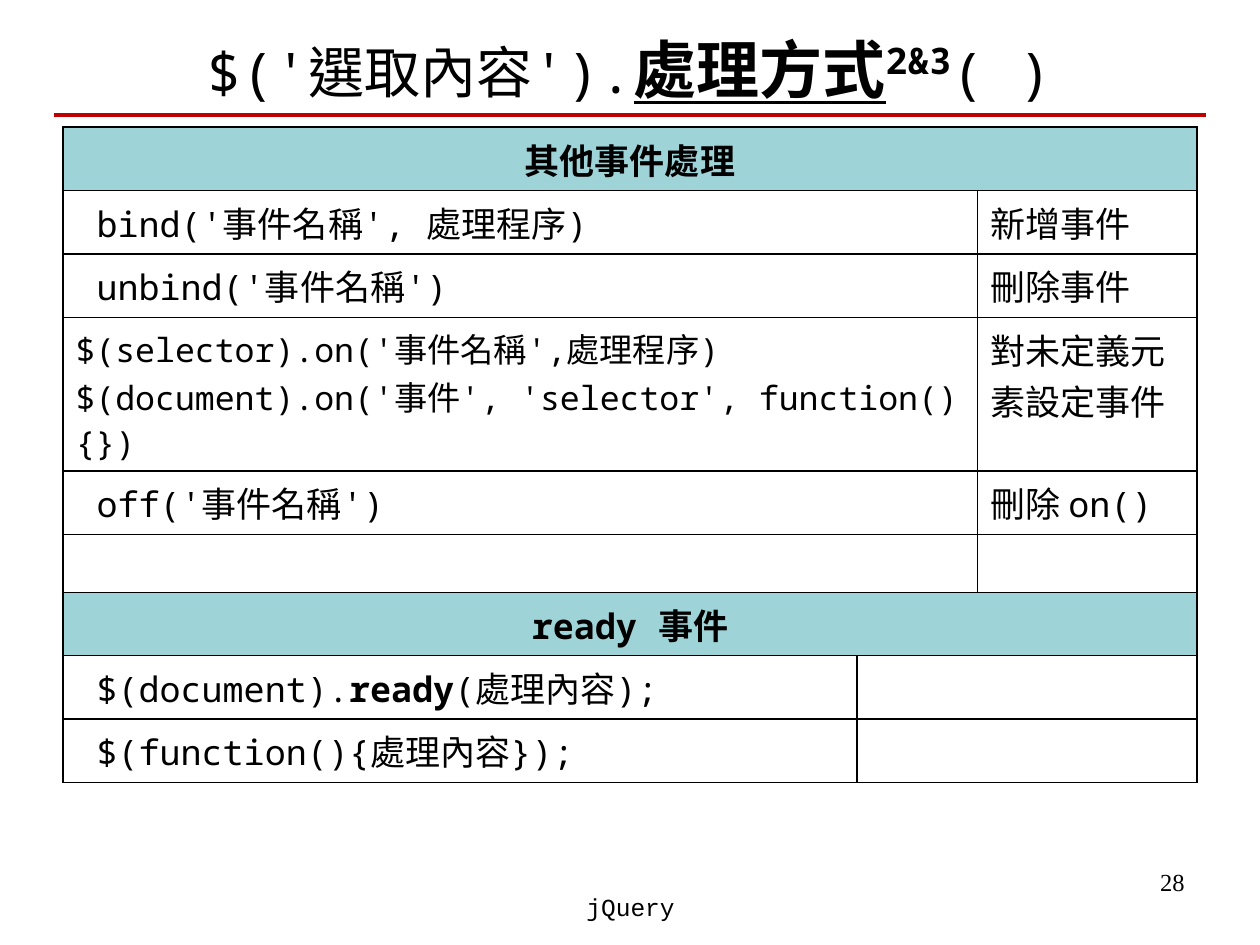
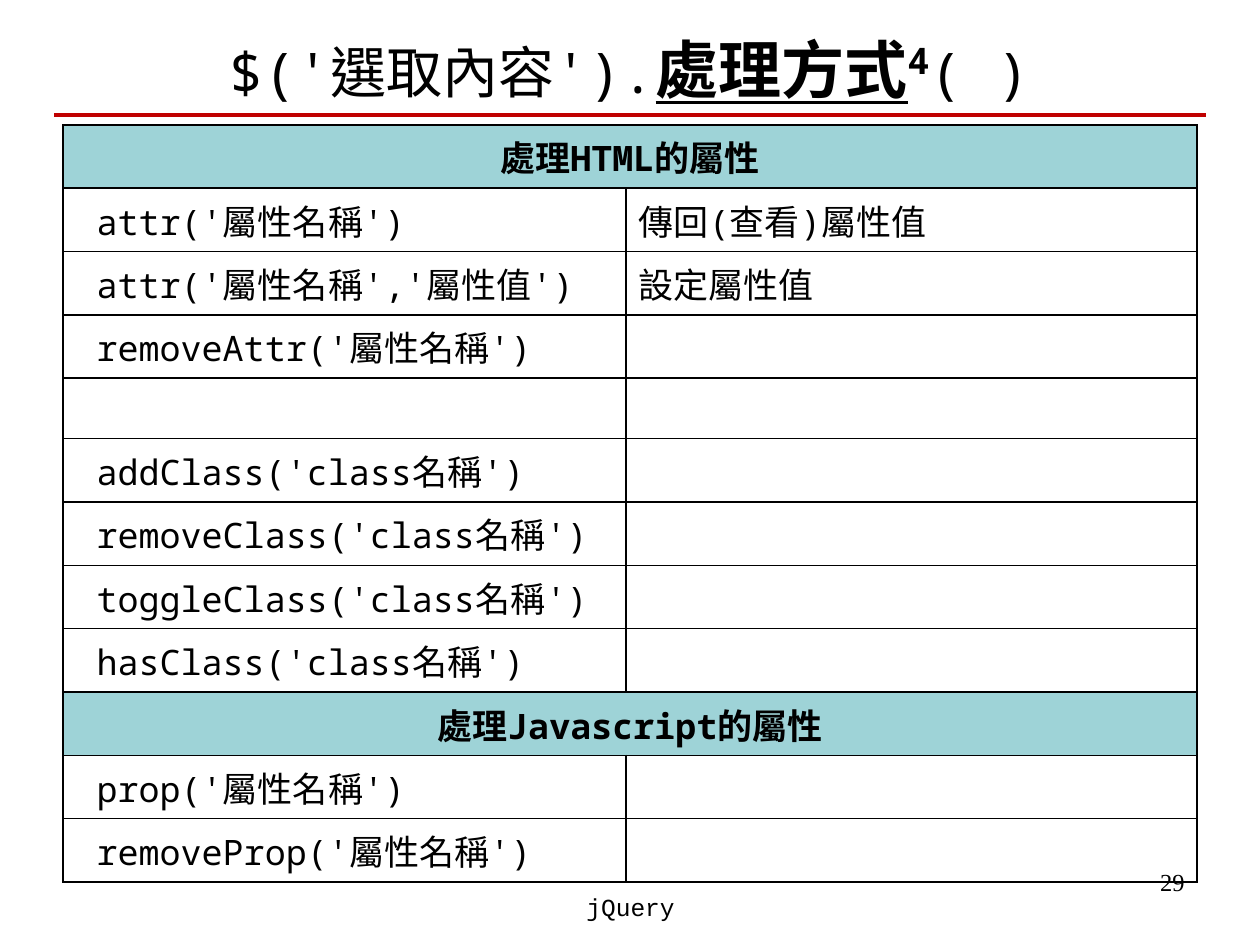
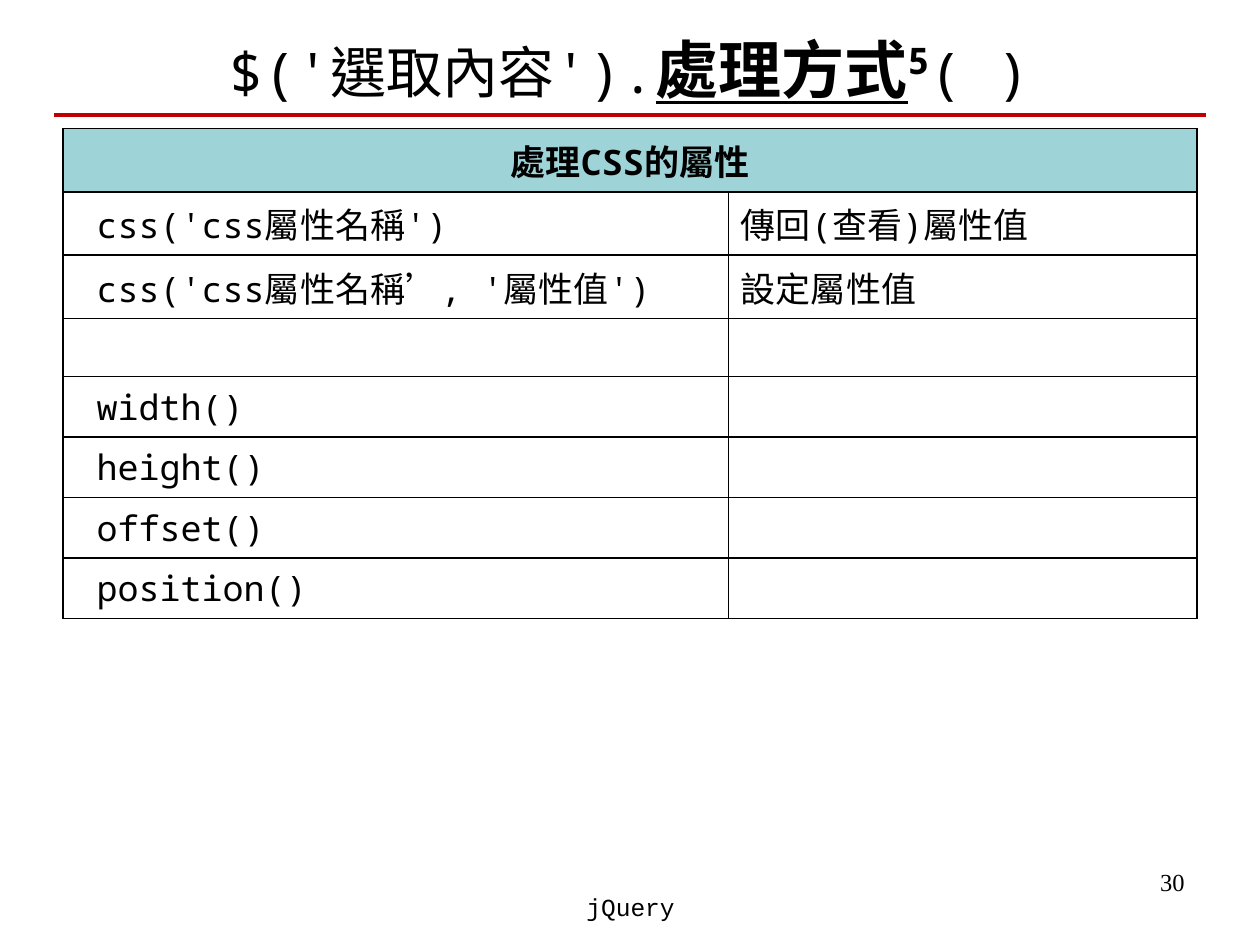
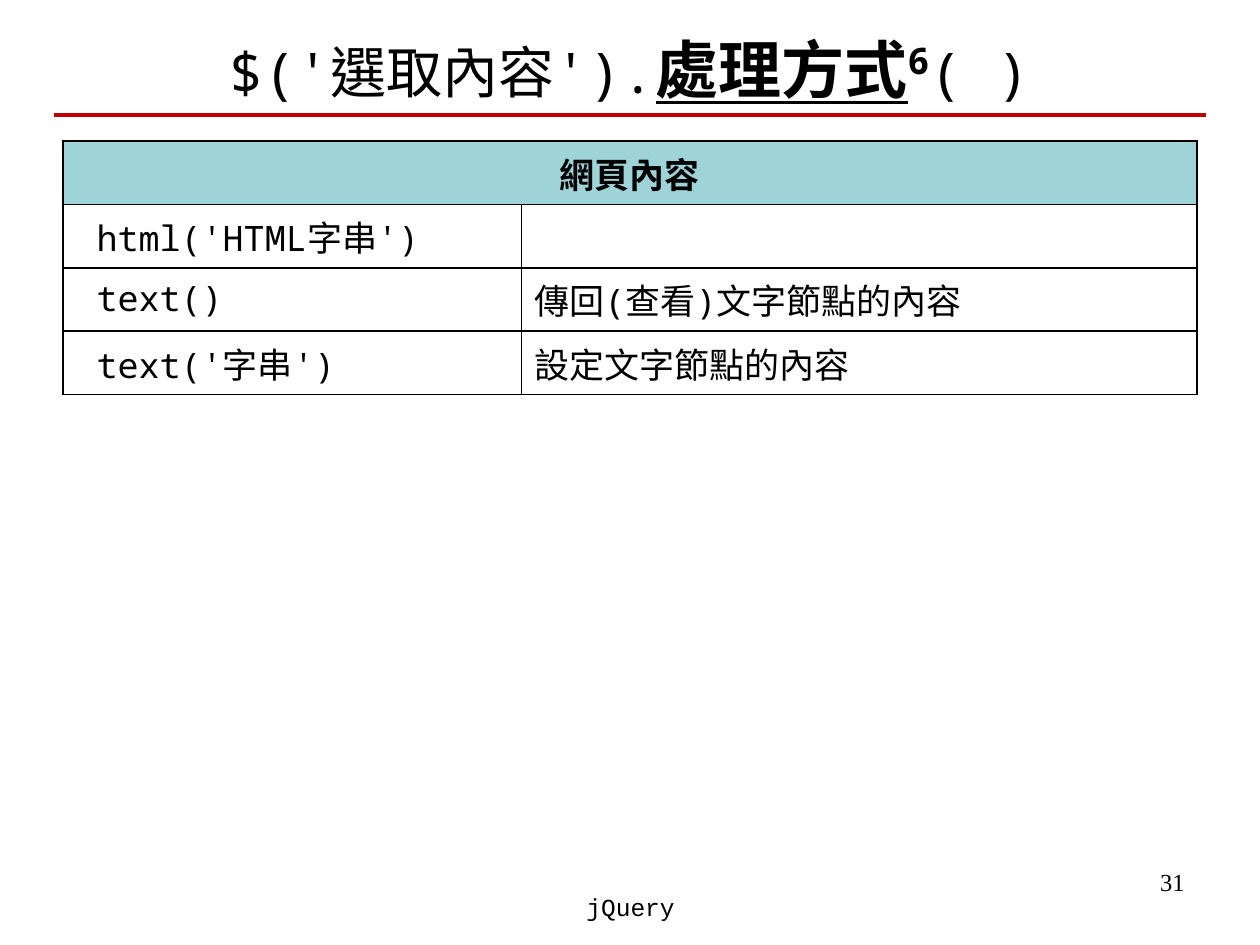
import pptx
import pptx.util
import pptx.dml.color
import pptx.enum.shapes
import pptx.enum.text
import pptx.oxml.ns
import lxml.etree

Inches, Pt = pptx.util.Inches, pptx.util.Pt
ALIGN = pptx.enum.text.PP_ALIGN
qn = pptx.oxml.ns.qn

HUES = {"ink": "000000", "rule": "C00000", "band": "9ED3D7"}
MONO, FOOT, NUM = "Noto Sans Mono", "Courier New", "Times New Roman"

# Boxes: left, top, width, height
HEAD = (0.5, 0.16, 9, 0.76)
RULE = (0.43, 0.91, 9.14, 0)
NUMBER = (7.17, 6.83, 2.33, 0.52)
FOOTER = (3.42, 7.03, 3.17, 0.5)

# Row heights: one line of 20 pt Chinese or Latin text plus margins
HAN = 0.1 + 1.45 * 20 / 72
LATIN = 0.48
BLANK = 0.46


def hue(name):
    return pptx.dml.color.RGBColor.from_string(HUES[name])


def write(frame, *paras, align=ALIGN.LEFT, **base):
    """Each paragraph is a string or a list of (text, format) runs."""
    frame.word_wrap = True
    for i, para in enumerate(paras):
        line = frame.paragraphs[0] if i == 0 else frame.add_paragraph()
        line.alignment = align
        runs = [(para, {})] if isinstance(para, str) else para
        for text, own in runs:
            fmt = {"font": MONO, "size": 20, "bold": False, **base, **own}
            run = line.add_run()
            run.text = text
            run.font.name = fmt["font"]
            run.font.size = Pt(fmt["size"])
            run.font.bold = fmt["bold"]
            run.font.underline = fmt.get("under", False)
            run.font.color.rgb = hue("ink")
            props = run._r.get_or_add_rPr()
            props.set("lang", "zh-TW")
            if "lift" in fmt:
                props.set("baseline", str(fmt["lift"] * 1000))


def title(slide, box, mark):
    shape = slide.shapes.title
    shape.left, shape.top, shape.width, shape.height = map(Inches, box)
    frame = shape.text_frame
    frame.auto_size = pptx.enum.text.MSO_AUTO_SIZE.NONE
    frame.vertical_anchor = pptx.enum.text.MSO_ANCHOR.MIDDLE
    big = {"size": 36, "bold": True}
    write(frame, [("$('選取內容').", {}),
                  ("處理方式", {**big, "under": True}),
                  (mark, {**big, "lift": 30}),
                  ("( )", {})], size=32, align=ALIGN.CENTER)


def rule(slide, box):
    x, y, w, h = box
    line = slide.shapes.add_connector(
        pptx.enum.shapes.MSO_CONNECTOR.STRAIGHT,
        Inches(x), Inches(y), Inches(x + w), Inches(y + h))
    line.line.color.rgb = hue("rule")
    line.line.width = Pt(2.25)
    lxml.etree.SubElement(line._element.spPr, qn("a:effectLst"))


def label(slide, box, text, **fmt):
    shape = slide.shapes.add_textbox(*map(Inches, box))
    write(shape.text_frame, text, size=14, **fmt)


def border(cell):
    props = cell._tc.get_or_add_tcPr()
    for side in ("a:lnL", "a:lnR", "a:lnT", "a:lnB"):
        line = lxml.etree.SubElement(props, qn(side), w=str(Pt(1)))
        fill = lxml.etree.SubElement(line, qn("a:solidFill"))
        lxml.etree.SubElement(fill, qn("a:srgbClr"), val=HUES["ink"])


def grid(slide, box, cols, rows):
    """A string row is a band; others are (left, right, cut, height),
    where cut counts the columns under the left cell."""
    x, y, w = box
    tall = [HAN if isinstance(row, str) else row[3] for row in rows]
    table = slide.shapes.add_table(
        len(rows), len(cols), Inches(x), Inches(y), Inches(w),
        Inches(sum(tall))).table
    table.first_row = table.horz_banding = False
    for col, wide in zip(table.columns, cols):
        col.width = Inches(wide)
    last = len(cols) - 1
    for r, row in enumerate(rows):
        table.rows[r].height = Inches(tall[r])
        band = isinstance(row, str)
        for c in range(len(cols)):
            cell = table.cell(r, c)
            border(cell)
            if band:
                cell.fill.solid()
                cell.fill.fore_color.rgb = hue("band")
            else:
                cell.fill.background()
        # Merge, then fill in the text
        if band:
            spans = [(0, last, [row])]
        else:
            left, right, cut = row[:3]
            spans = [(0, cut - 1, left), (cut, last, right)]
        for start, end, paras in spans:
            cell = table.cell(r, start)
            if end > start:
                cell.merge(table.cell(r, end))
            if isinstance(paras, str):
                paras = [paras] if paras else []
            write(cell.text_frame, *paras, bold=band,
                  align=ALIGN.CENTER if band else ALIGN.LEFT)


def page(deck, number, mark, top, cols, rows):
    slide = deck.slides.add_slide(deck.slide_layouts[5])
    label(slide, NUMBER, str(number), font=NUM, align=ALIGN.RIGHT)
    title(slide, HEAD, mark)
    rule(slide, RULE)
    label(slide, FOOTER, "jQuery", font=FOOT, align=ALIGN.CENTER)
    grid(slide, (0.5, top, 9), cols, rows)


def pair(left="", right="", cut=1, tall=HAN):
    return left, right, cut, tall


SMALL = {"size": 19}
PAGES = [
    # Other events
    ("2&3", 1.01, (6.3, 0.96, 1.74), [
        "其他事件處理",
        pair(" bind('事件名稱', 處理程序)", "新增事件", 2),
        pair(" unbind('事件名稱')", "刪除事件", 2),
        pair([[("$(selector).on('事件名稱',處理程序)", SMALL)],
              [("$(document).on('事件', 'selector', function(){})", SMALL)]],
             "對未定義元素設定事件", 2, 1.22),
        pair(" off('事件名稱')", "刪除 on()", 2),
        pair(cut=2, tall=BLANK),
        "ready 事件",
        pair([[(" $(document).", {}), ("ready", {"bold": True}),
               ("(處理內容);", {})]]),
        pair(" $(function(){處理內容});")]),
    # HTML and script attributes
    ("4", 0.99, (4.47, 4.53), [
        "處理HTML的屬性",
        pair(" attr('屬性名稱')", "傳回(查看)屬性值"),
        pair(" attr('屬性名稱','屬性值')", "設定屬性值"),
        pair(" removeAttr('屬性名稱')"),
        pair(tall=LATIN),
        *[pair(f" {verb}Class('class名稱')")
          for verb in ("add", "remove", "toggle", "has")],
        "處理Javascript的屬性",
        pair(" prop('屬性名稱')"),
        pair(" removeProp('屬性名稱')")]),
    # CSS
    ("5", 1.02, (5.28, 3.72), [
        "處理CSS的屬性",
        pair(" css('css屬性名稱')", "傳回(查看)屬性值"),
        pair(" css('css屬性名稱’, '屬性值')", "設定屬性值"),
        pair(tall=BLANK),
        *[pair(f" {name}()", tall=LATIN)
          for name in ("width", "height", "offset", "position")]]),
    # Page content
    ("6", 1.12, (3.64, 5.36), [
        "網頁內容",
        pair(" html('HTML字串')"),
        pair(" text()", "傳回(查看)文字節點的內容"),
        pair(" text('字串')", "設定文字節點的內容")]),
]

deck = pptx.Presentation()
deck.slide_width, deck.slide_height = Inches(10), Inches(7.5)
for number, parts in enumerate(PAGES, 28):
    page(deck, number, *parts)
deck.save("out.pptx")
